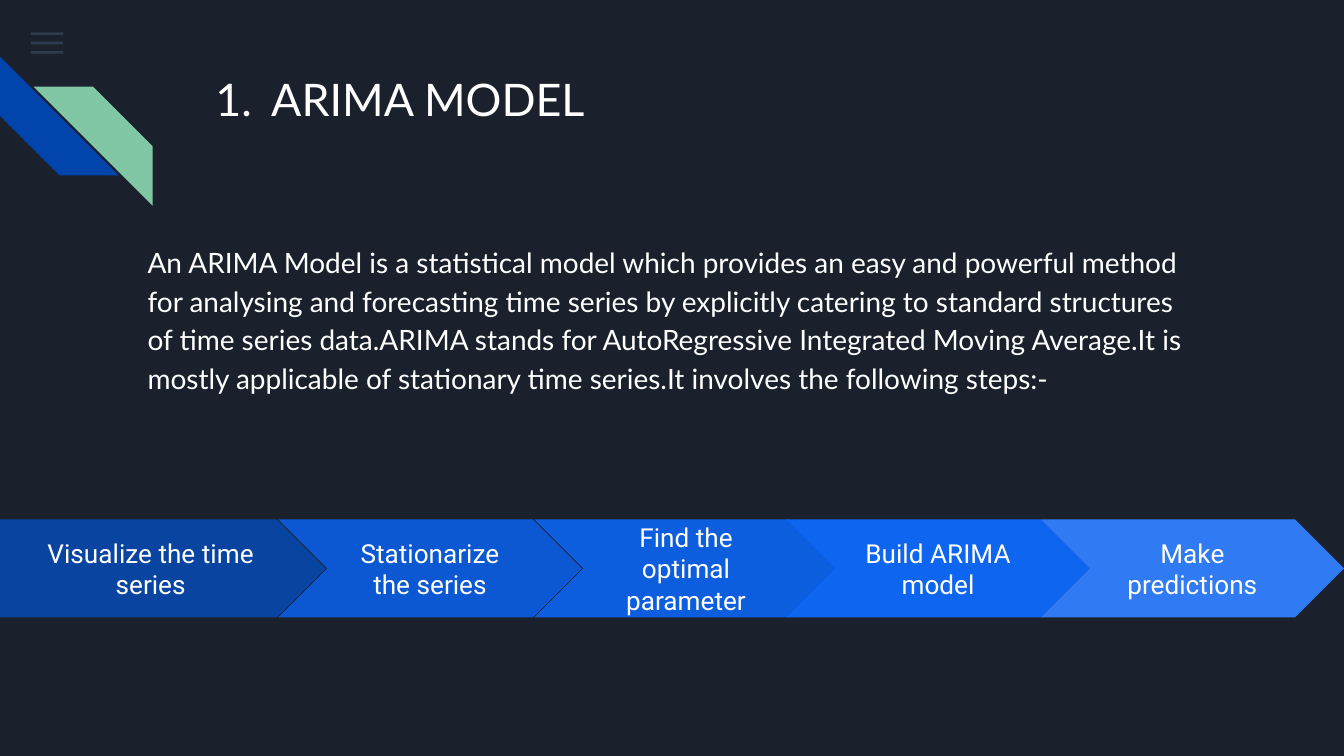
from dataclasses import dataclass
from typing import NamedTuple

from lxml.etree import SubElement
from pptx import Presentation
from pptx.dml.color import RGBColor
from pptx.enum.shapes import MSO_SHAPE
from pptx.enum.text import MSO_ANCHOR, PP_ALIGN
from pptx.oxml.ns import qn
from pptx.shapes.autoshape import Shape
from pptx.slide import Slide
from pptx.text.text import TextFrame, _Paragraph
from pptx.util import Pt

SCALE = 4572  # EMU in one px, at 200 px to the inch


@dataclass(frozen=True)
class Theme:
    back: str = "1B212C"
    text: str = "FFFFFF"
    bar: str = "55688B"
    blue: str = "0145AC"
    green: str = "82C7A5"
    steps: tuple[str, ...] = ("0944A1", "0C58D3", "0D5DDF", "0E65F0", "307BF3")
    head: str = "Lato"
    label: str = "Roboto"
    title_size: int = 24
    body_size: int = 15
    step_size: int = 14


class Box(NamedTuple):
    left: int
    top: int
    width: int
    height: int


@dataclass(frozen=True)
class Stripe:
    box: Box
    fill: str
    turn: int


@dataclass(frozen=True)
class Step:
    text: str
    left: int
    width: int
    fill: str
    kind: MSO_SHAPE = MSO_SHAPE.CHEVRON


THEME = Theme()
BARS = [Box(46, 48 + 14 * i, 48, 4) for i in range(3)]
STRIPES = [
    Stripe(Box(0, 84, 177, 177), THEME.blue, 270),
    Stripe(Box(50, 129, 177, 177), THEME.green, 90),
]
TITLE = "ARIMA MODEL"
BODY = (
    "An ARIMA Model is a statistical model which provides an easy and powerful "
    "method for analysing and forecasting time series by explicitly catering to "
    "standard structures of time series data.ARIMA stands for AutoRegressive "
    "Integrated Moving Average.It is mostly applicable of stationary time "
    "series.It involves the following steps:-"
)
STEP_TOP, STEP_HEIGHT = 773, 146
STEPS = [
    Step("Visualize the time series", 0, 485, THEME.steps[0], MSO_SHAPE.PENTAGON),
    Step("Stationarize the series", 414, 452, THEME.steps[1]),
    Step("Find the optimal parameter", 795, 452, THEME.steps[2]),
    Step("Build ARIMA model", 1170, 452, THEME.steps[3]),
    Step("Make predictions", 1549, 451, THEME.steps[4]),
]


def px(count: int) -> int:
    return count * SCALE


def place(box: Box) -> list[int]:
    return [px(side) for side in box]


def add_shape(slide: Slide, kind: MSO_SHAPE, box: Box, fill: str) -> Shape:
    shape = slide.shapes.add_shape(kind, *place(box))
    shape.shadow.inherit = False
    shape.fill.solid()
    shape.fill.fore_color.rgb = RGBColor.from_string(fill)
    shape.line.fill.background()
    return shape


def fade(shape: Shape, percent: int) -> None:
    """Set how opaque the solid fill is."""
    color = next(shape.fill._xPr.iter(qn("a:srgbClr")))
    SubElement(color, qn("a:alpha"), val=str(percent * 1000))


def set_frame(frame: TextFrame, anchor: MSO_ANCHOR) -> _Paragraph:
    """Set wrap, anchor and insets, and return the first paragraph."""
    frame.word_wrap = True
    frame.vertical_anchor = anchor
    frame.margin_left = frame.margin_right = px(20)
    frame.margin_top = frame.margin_bottom = px(20)
    return frame.paragraphs[0]


def add_run(para: _Paragraph, text: str, face: str, size: int) -> None:
    run = para.add_run()
    run.text = text
    run.font.name = face
    run.font.size = Pt(size)
    run.font.color.rgb = RGBColor.from_string(THEME.text)


def number(para: _Paragraph) -> None:
    """Give the paragraph a hanging automatic number."""
    props = para._p.get_or_add_pPr()
    props.set("marL", str(px(100)))
    props.set("indent", str(px(-83)))
    color = SubElement(props, qn("a:buClr"))
    SubElement(color, qn("a:srgbClr"), val=THEME.text)
    SubElement(props, qn("a:buFont"), typeface=THEME.head)
    SubElement(props, qn("a:buAutoNum"), type="arabicPeriod")


def add_text(slide: Slide, box: Box) -> _Paragraph:
    frame = slide.shapes.add_textbox(*place(box)).text_frame
    return set_frame(frame, MSO_ANCHOR.TOP)


def add_step(slide: Slide, step: Step) -> None:
    box = Box(step.left, STEP_TOP, step.width, STEP_HEIGHT)
    shape = add_shape(slide, step.kind, box, step.fill)
    shape.adjustments[0] = 0.5
    para = set_frame(shape.text_frame, MSO_ANCHOR.MIDDLE)
    para.alignment = PP_ALIGN.CENTER
    add_run(para, step.text, THEME.label, THEME.step_size)


def main() -> None:
    deck = Presentation()
    deck.slide_width, deck.slide_height = px(2000), px(1125)
    slide = deck.slides.add_slide(deck.slide_layouts[6])
    slide.background.fill.solid()
    slide.background.fill.fore_color.rgb = RGBColor.from_string(THEME.back)

    for bar in BARS:
        fade(add_shape(slide, MSO_SHAPE.RECTANGLE, bar, THEME.bar), 36)
    for stripe in STRIPES:
        shape = add_shape(slide, MSO_SHAPE.DIAGONAL_STRIPE, stripe.box, stripe.fill)
        shape.adjustments[0] = 0.5
        shape.rotation = stripe.turn

    title = add_text(slide, Box(284, 87, 1540, 200))
    number(title)
    add_run(title, TITLE, THEME.head, THEME.title_size)

    body = add_text(slide, Box(200, 338, 1608, 334))
    body.line_spacing = 1.15
    body.space_after = Pt(16)
    add_run(body, BODY, THEME.head, THEME.body_size)

    for step in STEPS:
        add_step(slide, step)
    deck.save("out.pptx")


if __name__ == "__main__":
    main()
